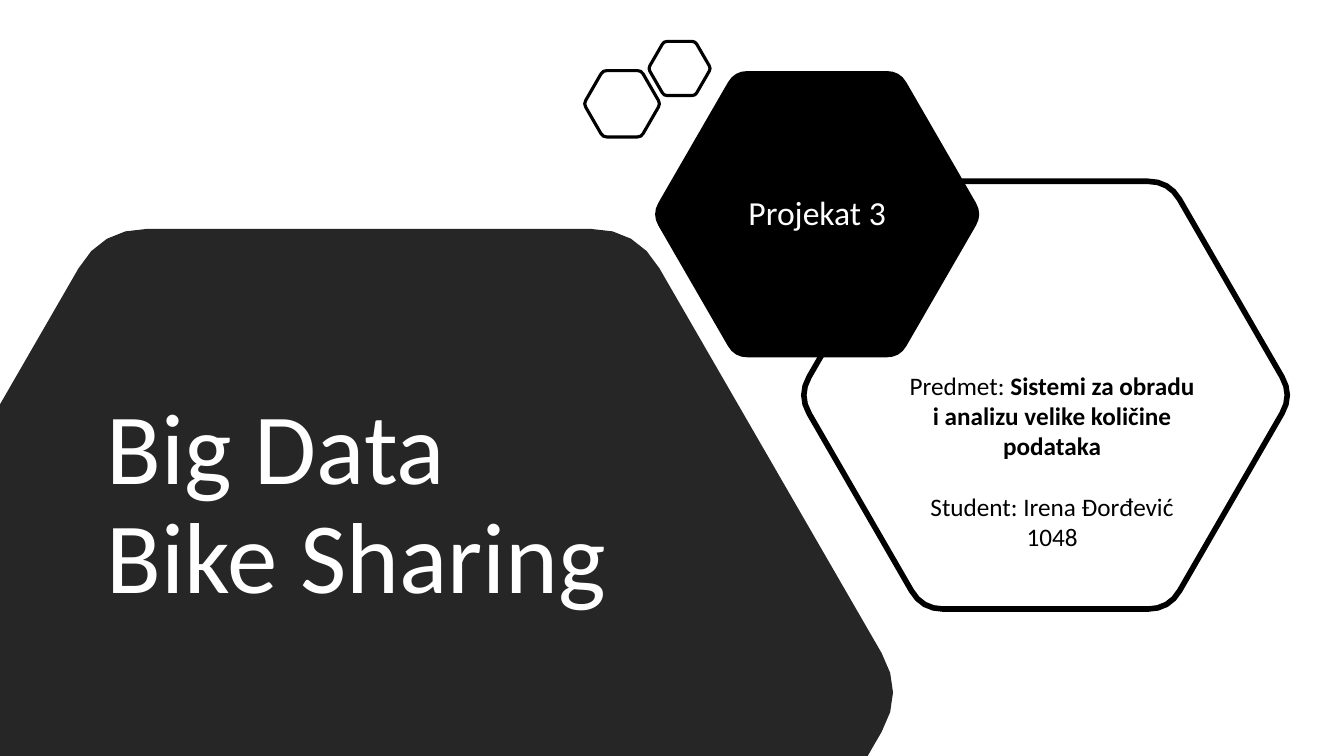
import math
import pptx
import pptx.util
import pptx.dml.color
import pptx.enum.text

Inches = pptx.util.Inches
Pt = pptx.util.Pt
RGBColor = pptx.dml.color.RGBColor
ALIGN = pptx.enum.text.PP_ALIGN
ANCHOR = pptx.enum.text.MSO_ANCHOR

BLACK = RGBColor(0x00, 0x00, 0x00)
CHARCOAL = RGBColor(0x26, 0x26, 0x26)
WHITE = RGBColor(0xFF, 0xFF, 0xFF)
FONT = "Calibri"
PAGE_WIDTH, PAGE_HEIGHT = 13.33, 7.5


def toward(start, end, share):
    return tuple(a + (b - a) * share for a, b in zip(start, end))


def rounded_hexagon(center_x, center_y, radius, cut, curve_steps):
    corners = [(center_x + radius * math.cos(math.radians(60 * turn)),
                center_y + radius * math.sin(math.radians(60 * turn)))
               for turn in range(6)]
    points = []
    for index, corner in enumerate(corners):
        entry = toward(corner, corners[index - 1], cut / radius)
        leave = toward(corner, corners[(index + 1) % 6], cut / radius)
        for step in range(curve_steps + 1):
            share = step / curve_steps
            points.append(toward(toward(entry, corner, share),
                                 toward(corner, leave, share), share))
    return points


def clip(points, axis, limit, side):
    kept = []
    for index, end in enumerate(points):
        start = points[index - 1]
        start_gap = (start[axis] - limit) * side
        end_gap = (end[axis] - limit) * side
        if start_gap * end_gap < 0:
            kept.append(toward(start, end, start_gap / (start_gap - end_gap)))
        if end_gap >= 0:
            kept.append(end)
    return kept


def add_hexagon(page, center_x, center_y, radius, cut, fill=None, line_width=None,
                curve_steps=4):
    points = rounded_hexagon(center_x, center_y, radius, cut, curve_steps)
    points = clip(points, 0, 0, 1)
    points = clip(points, 1, PAGE_HEIGHT, -1)
    points = [(Inches(x), Inches(y)) for x, y in points]
    builder = page.shapes.build_freeform(*points[0])
    builder.add_line_segments(points[1:], close=True)
    hexagon = builder.convert_to_shape()
    hexagon.shadow.inherit = False
    if fill is None:
        hexagon.fill.background()
    else:
        hexagon.fill.solid()
        hexagon.fill.fore_color.rgb = fill
    if line_width is None:
        hexagon.line.fill.background()
    else:
        hexagon.line.color.rgb = BLACK
        hexagon.line.width = Pt(line_width)


def place(shape, left, top, width, height, anchor):
    shape.left, shape.top = Inches(left), Inches(top)
    shape.width, shape.height = Inches(width), Inches(height)
    frame = shape.text_frame
    frame.word_wrap = True
    frame.auto_size = pptx.enum.text.MSO_AUTO_SIZE.NONE
    frame.vertical_anchor = anchor
    shape.element.getparent().append(shape.element)
    return frame


def write(para, text, size, color, bold=False, align=ALIGN.LEFT, spacing=1.0, before=0):
    para.alignment = align
    para.line_spacing = spacing
    para.space_before = Pt(before)
    for position, line in enumerate(text.split("\n")):
        if position:
            para.add_line_break()
        span = para.add_run()
        span.text = line
        span.font.name = FONT
        span.font.size = Pt(size)
        span.font.bold = bold
        span.font.color.rgb = color


def add_title(page, left, top, width, height):
    add_hexagon(page, left + 2.7, top + 3.63, 5.31, 0.45, fill=CHARCOAL)
    frame = place(page.shapes.title, left, top, width, height, ANCHOR.MIDDLE)
    write(frame.paragraphs[0], "Big Data\nBike Sharing", 72, WHITE, spacing=0.9)


def add_subtitle(page, left, top, width, height):
    add_hexagon(page, left + width / 2, top + height / 2, 1.64, 0.13, fill=BLACK)
    frame = place(page.placeholders[1], left, top, width, height, ANCHOR.MIDDLE)
    write(frame.paragraphs[0], "Projekat 3", 24, WHITE, align=ALIGN.CENTER,
          spacing=0.9, before=10)


def add_details(page, left, top, width, height):
    box = page.shapes.add_textbox(0, 0, 0, 0)
    frame = place(box, left, top, width, height, ANCHOR.TOP)
    subject = frame.paragraphs[0]
    style = {"size": 18, "color": BLACK, "align": ALIGN.CENTER}
    write(subject, "Predmet: ", **style)
    write(subject, "Sistemi za obradu i analizu velike količine podataka",
          bold=True, **style)
    write(frame.add_paragraph(), "Student: Irena Đorđević 1048", before=22, **style)


def add_small_hexagons(page):
    for center_x, center_y, radius in ((6.17, 1.03, 0.38), (6.74, 0.68, 0.31)):
        add_hexagon(page, center_x, center_y, radius, radius / 10,
                    line_width=2.25, curve_steps=2)


def main():
    deck = pptx.Presentation()
    deck.slide_width = Inches(PAGE_WIDTH)
    deck.slide_height = Inches(PAGE_HEIGHT)
    page = deck.slides.add_slide(deck.slide_layouts[0])
    page.background.fill.solid()
    page.background.fill.fore_color.rgb = WHITE
    add_hexagon(page, 10.37, 3.92, 2.45, 0.21, line_width=4)
    add_subtitle(page, 6.89, 1.47, 2.43, 1.31)
    add_title(page, 0.96, 3.24, 5.6, 3.57)
    add_small_hexagons(page)
    add_details(page, 8.91, 3.62, 3.05, 1.92)
    deck.save("out.pptx")


if __name__ == "__main__":
    main()
